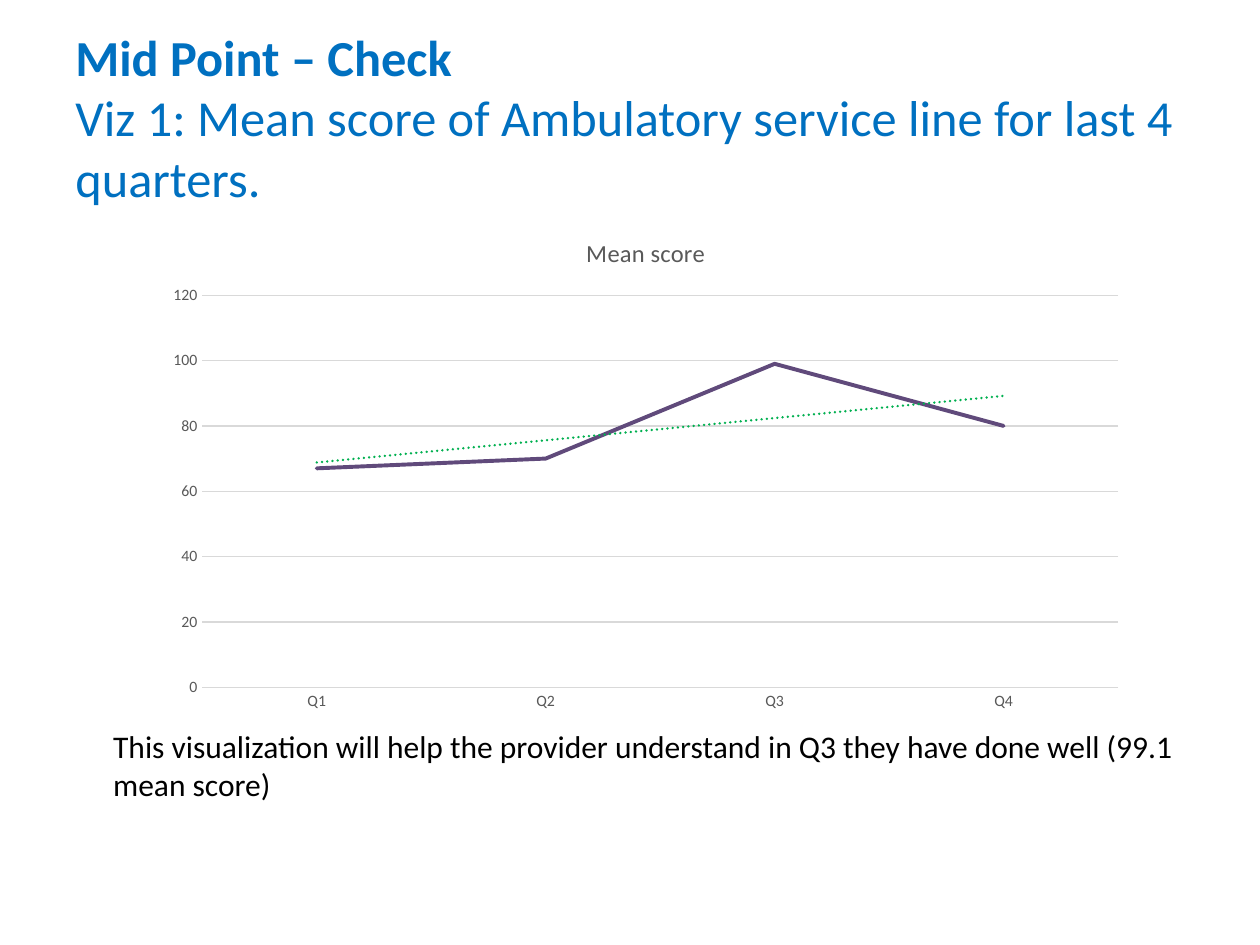
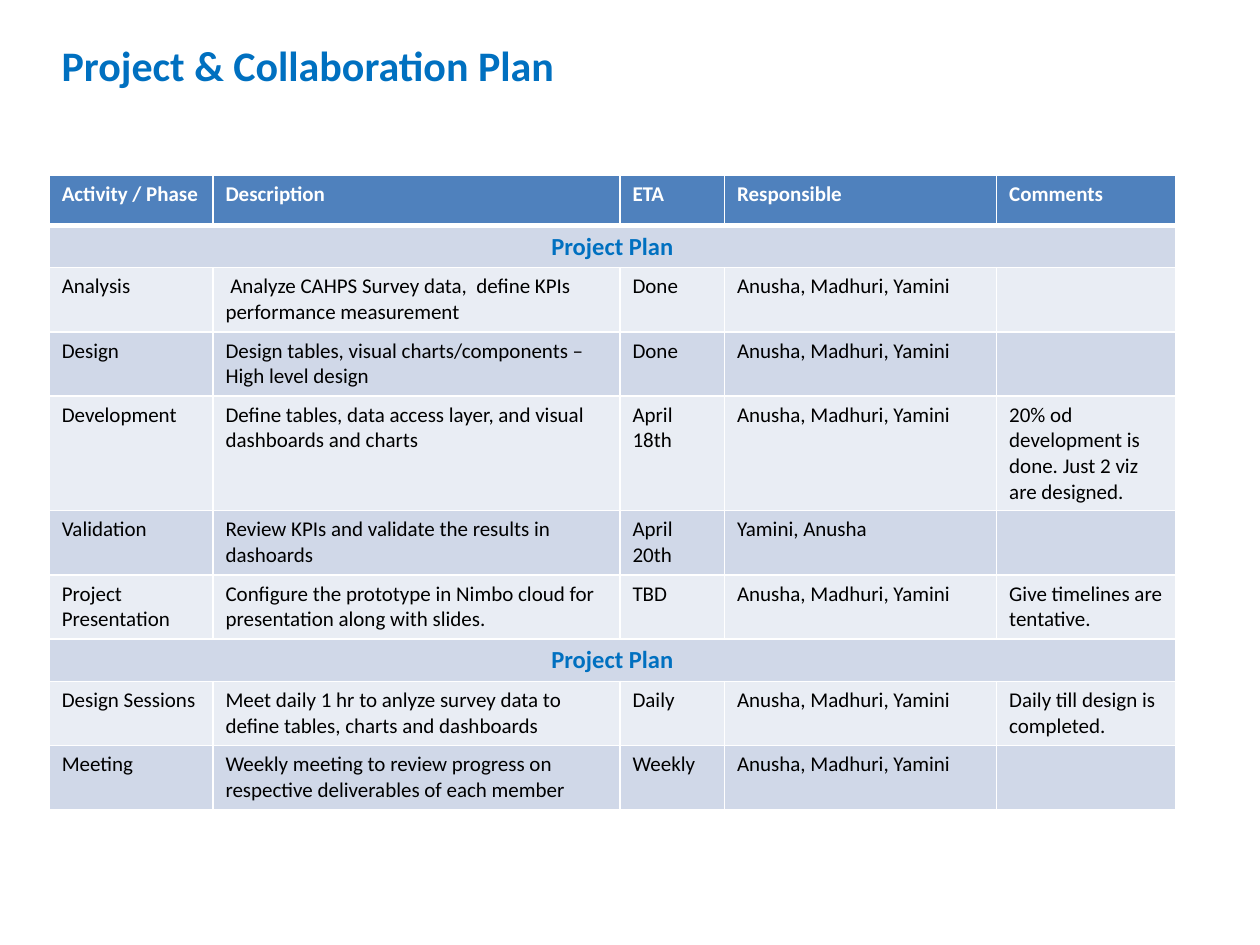
import pptx
import pptx.chart.data
import pptx.dml.color
import pptx.enum.chart
import pptx.enum.text
import pptx.oxml
import pptx.oxml.ns
import pptx.util

COLORS = {
    "title": "0070C0", "text": "000000", "white": "FFFFFF", "axis": "595959",
    "grid": "D9D9D9", "score": "604A7B", "trend": "00B050",
    "header": "4F81BD", "dark_band": "D0D8E8", "light_band": "E9EDF4",
}
FORMATS = {
    "heading": {"size": 28.8, "bold": True, "color": "title"},
    "subheading": {"size": 28.8, "bold": False, "color": "title"},
    "plan_title": {"size": 24, "bold": True, "color": "title"},
    "caption": {"size": 18, "bold": False, "color": "text"},
    "chart_title": {"size": 14, "bold": False, "color": "axis"},
    "axis": {"size": 9, "bold": False, "color": "axis"},
    "header": {"size": 12, "bold": True, "color": "white"},
    "section": {"size": 14, "bold": True, "color": "title"},
    "cell": {"size": 12, "bold": False, "color": "text"},
}
MIDDLE = pptx.enum.text.MSO_ANCHOR.MIDDLE
TOP = pptx.enum.text.MSO_ANCHOR.TOP

deck = pptx.Presentation()
deck.slide_width = pptx.util.Inches(10)
deck.slide_height = pptx.util.Inches(7.5)
column = deck.slide_width // 100
row = deck.slide_height // 75


def style_font(font, style):
    values = {"name": "Calibri", **FORMATS[style]}
    values["size"] = pptx.util.Pt(values["size"])
    color = values.pop("color")
    for name, value in values.items():
        setattr(font, name, value)
    font.color.rgb = pptx.dml.color.RGBColor.from_string(COLORS[color])


def add_text(page, place, anchor, spans):
    left, top, width, height = place
    box = page.shapes.add_textbox(
        int(left * column), int(top * row), int(width * column), int(height * row))
    frame = box.text_frame
    frame.word_wrap = True
    frame.vertical_anchor = anchor
    para = frame.paragraphs[0]
    for index, (text, style) in enumerate(spans):
        if index:
            para.add_line_break()
        span = para.add_run()
        span.text = text
        style_font(span.font, style)


score_page = deck.slides.add_slide(deck.slide_layouts[6])
add_text(score_page, (5, 3, 90, 12.5), MIDDLE, [
    ("Mid Point – Check", "heading"),
    ("Viz 1: Mean score of Ambulatory service line for last 4 quarters.", "subheading"),
])

scores = pptx.chart.data.CategoryChartData()
scores.categories = ["Q1", "Q2", "Q3", "Q4"]
scores.add_series("Series 1", [67, 70, 99, 80])
chart = score_page.shapes.add_chart(
    pptx.enum.chart.XL_CHART_TYPE.LINE, int(12.2 * column), 17 * row,
    int(78.1 * column), int(40.2 * row), scores).chart
chart.font.name = "Calibri"
chart.font.size = pptx.util.Pt(10)
chart.has_legend = False
chart.has_title = True
chart_title = chart.chart_title.text_frame
chart_title.text = "Mean score"
style_font(chart_title.paragraphs[0].runs[0].font, "chart_title")
chart.plots[0].vary_by_categories = False

for axis in (chart.category_axis, chart.value_axis):
    axis.major_tick_mark = pptx.enum.chart.XL_TICK_MARK.NONE
    axis.minor_tick_mark = pptx.enum.chart.XL_TICK_MARK.NONE
    style_font(axis.tick_labels.font, "axis")
chart.value_axis.minimum_scale = 0
chart.value_axis.maximum_scale = 120
chart.value_axis.major_unit = 20
chart.value_axis.has_major_gridlines = True
chart.value_axis.format.line.fill.background()

series = chart.plots[0].series[0]
series.smooth = False
series.marker.style = pptx.enum.chart.XL_MARKER_STYLE.NONE
for line, color, width in (
    (chart.category_axis.format.line, "grid", 0.75),
    (chart.value_axis.major_gridlines.format.line, "grid", 0.75),
    (series.format.line, "score", 2.25),
):
    line.color.rgb = pptx.dml.color.RGBColor.from_string(COLORS[color])
    line.width = pptx.util.Pt(width)
series.format.line.color.rgb = pptx.dml.color.RGBColor.from_string(COLORS["score"])
series._element.get_or_add_spPr().find(pptx.oxml.ns.qn("a:ln")).set("cap", "rnd")
trend = pptx.oxml.parse_xml(
    f'<c:trendline {pptx.oxml.ns.nsdecls("c", "a")}><c:spPr>'
    f'<a:ln w="{pptx.util.Pt(1.5)}" cap="rnd"><a:solidFill><a:srgbClr val="{COLORS["trend"]}"/></a:solidFill>'
    '<a:prstDash val="sysDot"/></a:ln></c:spPr><c:trendlineType val="linear"/>'
    '<c:dispRSqr val="0"/><c:dispEq val="0"/></c:trendline>')
series._element.find(pptx.oxml.ns.qn("c:cat")).addprevious(trend)

add_text(score_page, (8, 57.2, 90, 7.1), TOP, [
    ("This visualization will help the provider understand in Q3 they have done well "
     "(99.1 mean score)", "caption"),
])

plan_page = deck.slides.add_slide(deck.slide_layouts[6])
add_text(plan_page, (3.9, 0.8, 85, 8.6), MIDDLE,
         [("Project & Collaboration Plan", "plan_title")])

team = "Anusha, Madhuri, Yamini"
plan = [
    ["Activity / Phase", "Description", "ETA", "Responsible", "Comments"],
    ["Project Plan"],
    ["Analysis", " Analyze CAHPS Survey data,  define KPIs performance measurement",
     "Done", team, ""],
    ["Design", "Design tables, visual charts/components – High level design",
     "Done", team, ""],
    ["Development", "Define tables, data access layer, and visual dashboards and charts",
     "April 18th", team, "20% od development is done. Just 2 viz are designed."],
    ["Validation", "Review KPIs and validate the results in dashoards",
     "April 20th", "Yamini, Anusha", ""],
    ["Project Presentation",
     "Configure the prototype in Nimbo cloud for presentation along with slides.",
     "TBD", team, "Give timelines are tentative."],
    ["Project Plan"],
    ["Design Sessions",
     "Meet daily 1 hr to anlyze survey data to define tables, charts and dashboards",
     "Daily", team, "Daily till design is completed."],
    ["Meeting", "Weekly meeting to review progress on respective deliverables of each member",
     "Weekly", team, ""],
]
column_spans = [13, 32.3, 8.3, 21.6, 14.2]
row_spans = [4, 3.3, 5.1, 5.1, 9.1, 5.1, 5.1, 3.3, 5.1, 5.1]
table = plan_page.shapes.add_table(
    len(plan), len(column_spans), int(3.9 * column), int(13.9 * row),
    int(sum(column_spans) * column), int(sum(row_spans) * row)).table
for table_column, share in zip(table.columns, column_spans):
    table_column.width = int(share * column)
for table_row, share in zip(table.rows, row_spans):
    table_row.height = int(share * row)

for row_index, entries in enumerate(plan):
    is_section = len(entries) == 1
    style = "header" if row_index == 0 else "section" if is_section else "cell"
    fill = "header" if row_index == 0 else "dark_band" if row_index % 2 else "light_band"
    if is_section:
        table.cell(row_index, 0).merge(table.cell(row_index, len(column_spans) - 1))
    for column_index in range(len(column_spans)):
        cell = table.cell(row_index, column_index)
        for edge in ("lnL", "lnR", "lnT", "lnB"):
            width = 3 if (row_index, edge) in ((0, "lnB"), (1, "lnT")) else 1
            cell._tc.get_or_add_tcPr().append(pptx.oxml.parse_xml(
                f'<a:{edge} {pptx.oxml.ns.nsdecls("a")} w="{pptx.util.Pt(width)}"><a:solidFill>'
                f'<a:srgbClr val="{COLORS["white"]}"/></a:solidFill></a:{edge}>'))
        cell.fill.solid()
        cell.fill.fore_color.rgb = pptx.dml.color.RGBColor.from_string(COLORS[fill])
        para = cell.text_frame.paragraphs[0]
        style_font(para.font, style)
        if column_index < len(entries) and entries[column_index]:
            span = para.add_run()
            span.text = entries[column_index]
            style_font(span.font, style)
        if is_section:
            para.alignment = pptx.enum.text.PP_ALIGN.CENTER

deck.save("out.pptx")
